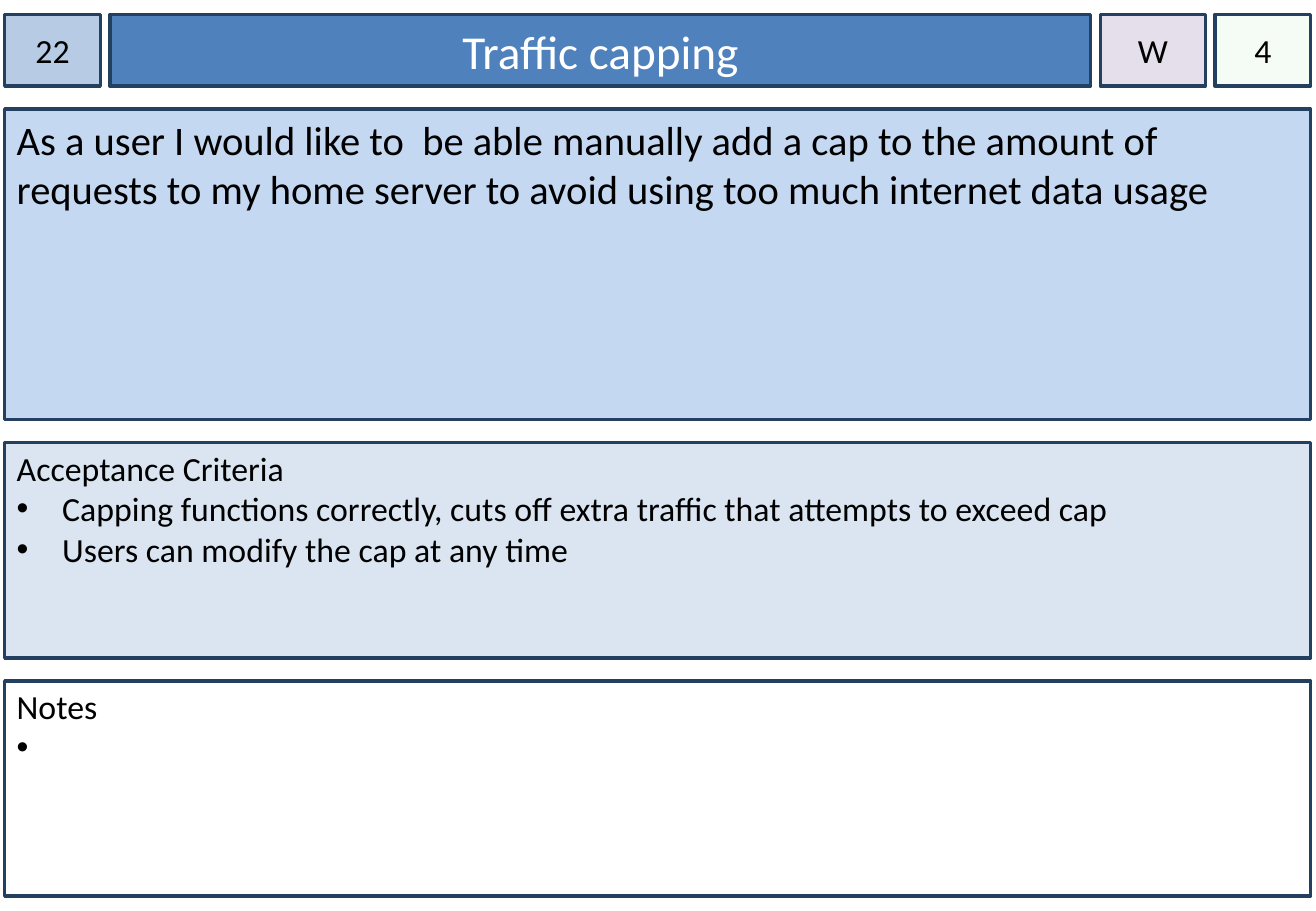
"""Build a user story card with a header row and three stacked panels."""
import pptx
import pptx.dml.color
import pptx.enum.shapes
import pptx.enum.text
import pptx.oxml.ns
import pptx.util
from lxml import etree

Cm, Pt = pptx.util.Cm, pptx.util.Pt
RGB = pptx.dml.color.RGBColor
ALIGN, ANCHOR = pptx.enum.text.PP_ALIGN, pptx.enum.text.MSO_ANCHOR
qn = pptx.oxml.ns.qn

BLACK, WHITE = RGB(0, 0, 0), RGB(255, 255, 255)
NAVY = RGB(0x24, 0x40, 0x61)
TITLE_BLUE = RGB(0x4F, 0x81, 0xBD)
ID_BLUE = RGB(0xB7, 0xCC, 0xE4)
STORY_BLUE = RGB(0xC5, 0xD8, 0xF1)
CRITERIA_BLUE = RGB(0xDA, 0xE5, 0xF1)
LILAC = RGB(0xE5, 0xDF, 0xEC)
GREEN = RGB(0xCC, 0xF0, 0xCD)

TITLE = "Traffic capping"
# text, width, fill, opacity in percent
HEADER = [
    ("22", 2.0, ID_BLUE, 100),
    (TITLE, 20.5, TITLE_BLUE, 100),
    ("W", 2.2, LILAC, 100),
    ("4", 2.0, GREEN, 20),
]
# heading, bullets, bullet indent, height, fill, size, top inset
PANELS = [
    ("As a user I would like to  be able manually add a cap to the amount of "
     "requests to my home server to avoid using too much internet data usage",
     [], 0, 6.5, STORY_BLUE, 24, 0.13),
    ("Acceptance Criteria",
     ["Capping functions correctly, cuts off extra traffic that attempts to exceed cap",
      "Users can modify the cap at any time"],
     0.95, 4.5, CRITERIA_BLUE, 20, 0.1),
    ("Notes", [" "], 0.5, 4.5, WHITE, 20, 0.1),
]
LEFT, TOP, HEADER_H = 0.1, 0.3, 1.5
COL_GAP, ROW_GAP = 0.2, 0.48


def style_box(sp, box, fill, inset_x, inset_top, anchor):
    """Place a box and set its fill, outline and text frame."""
    sp.left, sp.top, sp.width, sp.height = (Cm(v) for v in box)
    sp.fill.solid()
    sp.fill.fore_color.rgb = fill
    sp.line.color.rgb = NAVY
    sp.line.width = Pt(2)
    tf = sp.text_frame
    tf.word_wrap = True
    tf.auto_size = pptx.enum.text.MSO_AUTO_SIZE.NONE
    tf.vertical_anchor = anchor
    tf.margin_left = tf.margin_right = Cm(inset_x)
    tf.margin_top, tf.margin_bottom = Cm(inset_top), Cm(0.13)
    return tf


def add_box(s):
    """Add a rectangle without a shadow."""
    sp = s.shapes.add_shape(pptx.enum.shapes.MSO_SHAPE.RECTANGLE, 0, 0, 0, 0)
    sp.shadow.inherit = False
    return sp


def write(p, text, size, color, align):
    """Write one formatted paragraph."""
    p.text = text
    p.alignment = align
    for r in p.runs:
        r.font.name, r.font.size, r.font.color.rgb = "Calibri", Pt(size), color


def add_bullet(p, indent):
    """Give a paragraph a round bullet with a hanging indent."""
    pPr = p._p.get_or_add_pPr()
    pPr.set("marL", str(Cm(indent)))
    pPr.set("indent", str(-Cm(indent)))
    etree.SubElement(pPr, qn("a:buFont"), typeface="Arial")
    etree.SubElement(pPr, qn("a:buChar"), char="•")


def main():
    """Build and save the card."""
    prs = pptx.Presentation()
    prs.slide_width, prs.slide_height = Cm(27.51), Cm(19.05)
    s = prs.slides.add_slide(prs.slide_layouts[5])

    x = LEFT
    for text, width, fill, opacity in HEADER:
        is_title = text == TITLE
        sp = s.shapes.title if is_title else add_box(s)
        tf = style_box(sp, (x, TOP, width, HEADER_H), fill,
                       0.25 if is_title else 0, 0.13, ANCHOR.MIDDLE)
        size, color = (28, WHITE) if is_title else (20, BLACK)
        write(tf.paragraphs[0], text, size, color, ALIGN.CENTER)
        if opacity < 100:
            clr = sp._element.spPr.find(qn("a:solidFill"))[0]
            etree.SubElement(clr, qn("a:alpha"), val=str(opacity * 1000))
        x += width + COL_GAP

    panel_w = x - COL_GAP - LEFT
    y = TOP + HEADER_H + ROW_GAP
    for heading, bullets, indent, height, fill, size, inset_top in PANELS:
        tf = style_box(add_box(s), (LEFT, y, panel_w, height), fill,
                       0.25, inset_top, ANCHOR.TOP)
        write(tf.paragraphs[0], heading, size, BLACK, ALIGN.LEFT)
        for text in bullets:
            p = tf.add_paragraph()
            add_bullet(p, indent)
            write(p, text, size, BLACK, ALIGN.LEFT)
        y += height + ROW_GAP

    prs.save("out.pptx")


if __name__ == "__main__":
    main()
